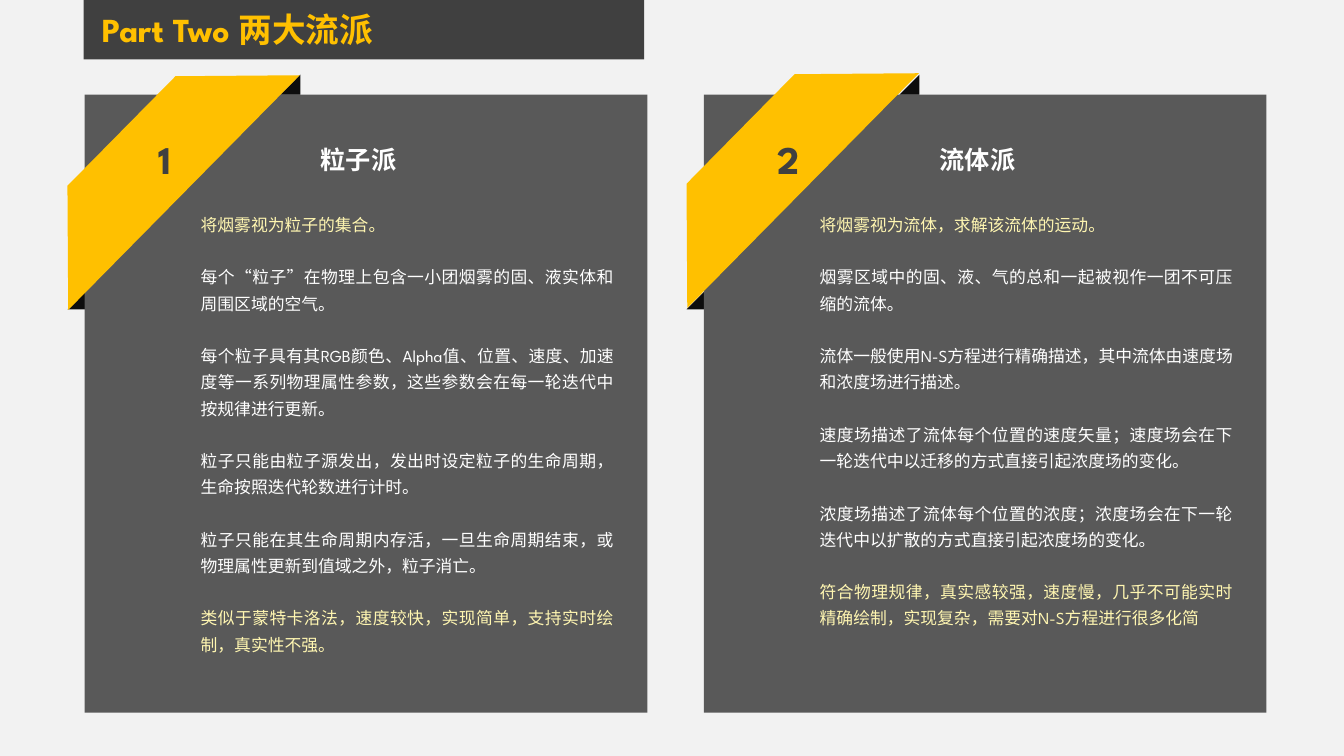
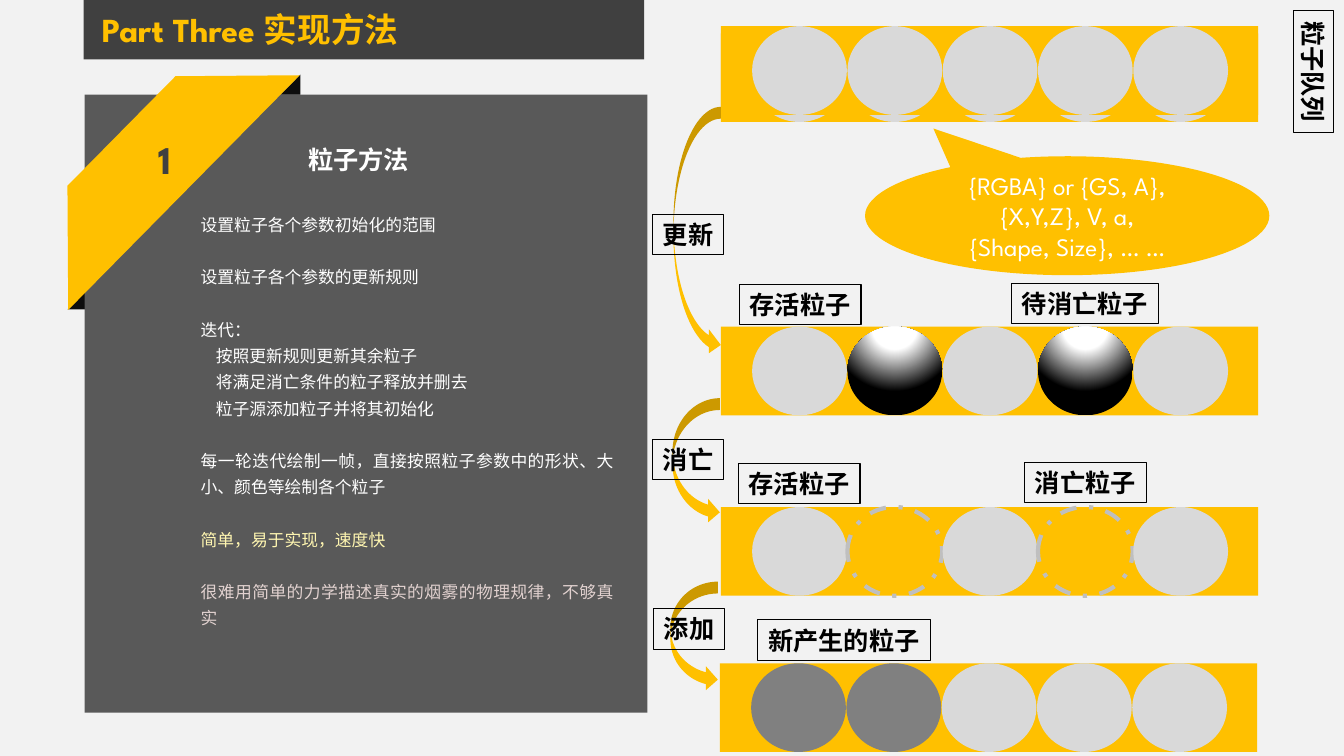
import pptx
import pptx.util
import pptx.dml.color
import pptx.enum.dml
import pptx.enum.shapes
import pptx.enum.text
import pptx.oxml
import pptx.oxml.ns

Inches, Pt = pptx.util.Inches, pptx.util.Pt
SHAPE = pptx.enum.shapes.MSO_SHAPE
ALIGN = pptx.enum.text.PP_ALIGN
ANCHOR = pptx.enum.text.MSO_ANCHOR

FONT = "League Spartan"
COLORS = {
    "back": "F2F2F2", "band": "404040", "panel": "595959", "gold": "FFC000",
    "fold": "0D0D0D", "white": "FFFFFF", "black": "000000",
    "cream": "FFF6B1", "rose": "E1D1CF",
    "alive": "D9D9D9", "new": "808080", "dash": "BFBFBF",
}
PANEL_STEP = 6.14

# Body lines: (text, colour, indented)
PARTICLE_SCHOOL = {"number": "1", "heading": "粒子派", "ribbon_top": 1.17, "lines": [
    ("将烟雾视为粒子的集合。", "cream", False),
    ("每个“粒子”在物理上包含一小团烟雾的固、液实体和周围区域的空气。", "white", False),
    ("每个粒子具有其RGB颜色、Alpha值、位置、速度、加速度等一系列物理属性参数，"
     "这些参数会在每一轮迭代中按规律进行更新。", "white", False),
    ("粒子只能由粒子源发出，发出时设定粒子的生命周期，生命按照迭代轮数进行计时。", "white", False),
    ("粒子只能在其生命周期内存活，一旦生命周期结束，或物理属性更新到值域之外，粒子消亡。",
     "white", False),
    ("类似于蒙特卡洛法，速度较快，实现简单，支持实时绘制，真实性不强。", "cream", False),
]}
FLUID_SCHOOL = {"number": "2", "heading": "流体派", "ribbon_top": 1.15, "lines": [
    ("将烟雾视为流体，求解该流体的运动。", "cream", False),
    ("烟雾区域中的固、液、气的总和一起被视作一团不可压缩的流体。", "white", False),
    ("流体一般使用N-S方程进行精确描述，其中流体由速度场和浓度场进行描述。", "white", False),
    ("速度场描述了流体每个位置的速度矢量；速度场会在下一轮迭代中以迁移的方式直接引起浓度场的变化。",
     "white", False),
    ("浓度场描述了流体每个位置的浓度；浓度场会在下一轮迭代中以扩散的方式直接引起浓度场的变化。",
     "white", False),
    ("符合物理规律，真实感较强，速度慢，几乎不可能实时精确绘制，实现复杂，"
     "需要对N-S方程进行很多化简", "cream", False),
]}
PARTICLE_METHOD = {"number": "1", "heading": "粒子方法", "ribbon_top": 1.17, "lines": [
    ("设置粒子各个参数初始化的范围", "white", False),
    ("设置粒子各个参数的更新规则", "white", False),
    ("迭代：", "white", False),
    ("按照更新规则更新其余粒子", "white", True),
    ("将满足消亡条件的粒子释放并删去", "white", True),
    ("粒子源添加粒子并将其初始化", "white", True),
    ("每一轮迭代绘制一帧，直接按照粒子参数中的形状、大小、颜色等绘制各个粒子", "white", False),
    ("简单，易于实现，速度快", "cream", False),
    ("很难用简单的力学描述真实的烟雾的物理规律，不够真实", "rose", False),
]}
SLIDES = [
    ("Part Two 两大流派", [PARTICLE_SCHOOL, FLUID_SCHOOL]),
    ("Part Three 实现方法", [PARTICLE_METHOD]),
]

# Particle queues: left, top, state of each particle
QUEUES = [
    (7.15, 0.33, ["alive"] * 5),
    (7.15, 0.26, ["alive"] * 5),
    (7.15, 3.24, ["alive", "dying", "alive", "dying", "alive"]),
    (7.15, 5.03, ["alive", "dead", "alive", "dead", "alive"]),
    (7.14, 6.58, ["new", "new", "alive", "alive", "alive"]),
]
ARROWS = [(6.68, 1.06, 2.48), (6.67, 3.95, 1.25), (6.65, 5.77, 1.09)]  # left, top, height
LABELS = [  # text, left, top, width, rotation
    ("粒子队列", 12.42, 0.51, 1.21, 90),
    ("存活粒子", 7.33, 2.82, 1.21, 0),
    ("待消亡粒子", 10.03, 2.81, 1.46, 0),
    ("存活粒子", 7.32, 4.6, 1.21, 0),
    ("消亡粒子", 10.16, 4.59, 1.21, 0),
    ("更新", 6.47, 2.13, 0.71, 0),
    ("消亡", 6.47, 4.36, 0.71, 0),
    ("添加", 6.48, 6.04, 0.71, 0),
    ("新产生的粒子", 7.51, 6.15, 1.72, 0),
]
CALLOUT = ["{RGBA} or {GS, A},", "{X,Y,Z}, V, a,", "{Shape, Size}, … …"]

DYING_FILL = (
    f'<a:gradFill {pptx.oxml.ns.nsdecls("a")} rotWithShape="1"><a:gsLst>'
    '<a:gs pos="0"><a:srgbClr val="FFFFFF"/></a:gs>'
    '<a:gs pos="35000"><a:srgbClr val="FFFFFF"/></a:gs>'
    '<a:gs pos="100000"><a:srgbClr val="000000"/></a:gs></a:gsLst>'
    '<a:path path="circle"><a:fillToRect l="50000" t="-80000" r="50000" b="180000"/></a:path>'
    '</a:gradFill>'
)


def rgb(name):
    return pptx.dml.color.RGBColor.from_string(COLORS[name])


def box(left, top, width, height):
    return [Inches(v) for v in (left, top, width, height)]


def place(sp, *bounds):
    sp.left, sp.top, sp.width, sp.height = box(*bounds)


def add_shape(shapes, kind, bounds, fill=None):
    sp = shapes.add_shape(kind, *box(*bounds))
    sp.shadow.inherit = False
    sp.line.fill.background()
    if fill:
        sp.fill.solid()
        sp.fill.fore_color.rgb = rgb(fill)
    else:
        sp.fill.background()
    return sp


def add_run(p, text, size, color, bold=False):
    r = p.add_run()
    r.text = text
    r.font.name, r.font.size, r.font.bold = FONT, Pt(size), bold
    r.font.color.rgb = rgb(color)


def add_text(s, text, bounds, size, color, align=ALIGN.CENTER):
    sp = s.shapes.add_textbox(*box(*bounds))
    sp.text_frame.word_wrap = False
    p = sp.text_frame.paragraphs[0]
    p.alignment = align
    add_run(p, text, size, color, True)
    return sp


def fill_title(sp, text):
    tf = sp.text_frame
    tf.vertical_anchor = ANCHOR.TOP
    tf.auto_size = pptx.enum.text.MSO_AUTO_SIZE.NONE
    p = tf.paragraphs[0]
    p.alignment, p.line_spacing = ALIGN.LEFT, 0.9
    add_run(p, text, 24, "gold", True)


def fill_body(sp, lines):
    tf = sp.text_frame
    tf.auto_size = pptx.enum.text.MSO_AUTO_SIZE.NONE
    for i, (text, color, indented) in enumerate(lines):
        p = tf.add_paragraph() if i else tf.paragraphs[0]
        p.alignment, p.line_spacing = ALIGN.JUSTIFY, 1.3
        p.space_before = Pt(18.8 if i and not indented else 0)
        pPr = p._p.get_or_add_pPr()
        pPr.set("marL", str(Inches(0.15 if indented else 0)))
        pPr.set("indent", "0")
        pPr.append(pptx.oxml.parse_xml(f'<a:buNone {pptx.oxml.ns.nsdecls("a")}/>'))
        add_run(p, text, 12, color)


def add_panel(s, body, dx, panel):
    """Grey panel with a gold ribbon folded round its top left corner."""
    add_shape(s.shapes, SHAPE.ISOSCELES_TRIANGLE, (0.67 + dx, 2.87, 0.2, 0.2),
              "fold").adjustments[0] = 1
    add_shape(s.shapes, SHAPE.RECTANGLE, (0.84 + dx, 0.94, 5.58, 6.13), "panel")
    add_shape(s.shapes, SHAPE.ISOSCELES_TRIANGLE, (2.78 + dx, 0.74, 0.2, 0.2),
              "fold").adjustments[0] = 1
    ribbon = add_shape(s.shapes, SHAPE.TRAPEZOID,
                       (-0.12 + dx, panel["ribbon_top"], 3.27, 0.87), "gold")
    ribbon.adjustments[0] = 1.002
    ribbon.rotation = 314.6
    add_text(s, panel["number"], (1.47 + dx, 1.29, 0.42, 0.57), 28, "band", ALIGN.LEFT)
    add_text(s, panel["heading"], (2.95 + dx, 1.38, 1.21, 0.4), 18, "white")
    place(body, 1.89 + dx, 2.02, 4.3, 4.8)
    fill_body(body, panel["lines"])
    s.shapes.element.append(body.element)  # in front of the panel


def add_queue(s, left, top, states):
    shapes = s.shapes.add_group_shape().shapes
    add_shape(shapes, SHAPE.RECTANGLE, (left, top, 5.33, 0.88), "gold")
    for i, state in enumerate(states):
        bounds = (left + 0.31 + 0.945 * i, top, 0.94, 0.88)
        sp = add_shape(shapes, SHAPE.OVAL, bounds, state if state in COLORS else None)
        if state == "dying":
            spPr = sp.element.spPr
            no_fill = spPr.find(pptx.oxml.ns.qn("a:noFill"))
            spPr.replace(no_fill, pptx.oxml.parse_xml(DYING_FILL))
        elif state == "dead":
            sp.line.color.rgb = rgb("dash")
            sp.line.width = Pt(3)
            sp.line.dash_style = pptx.enum.dml.MSO_LINE.DASH_DOT


def add_callout(s):
    sp = add_shape(s.shapes, SHAPE.OVAL_CALLOUT, (8.58, 1.55, 4.01, 1.18), "gold")
    sp.adjustments[0], sp.adjustments[1] = -0.331, -0.733
    tf = sp.text_frame
    tf.vertical_anchor = ANCHOR.MIDDLE
    for i, text in enumerate(CALLOUT):
        p = tf.add_paragraph() if i else tf.paragraphs[0]
        p.alignment = ALIGN.CENTER
        add_run(p, text, 18, "white")


def add_particle_flow(s):
    for queue in QUEUES:
        add_queue(s, *queue)
    add_callout(s)
    for left, top, height in ARROWS:
        arrow = add_shape(s.shapes, SHAPE.CURVED_LEFT_ARROW, (left, top, 0.47, height), "gold")
        arrow.element.spPr.xfrm.set("flipH", "1")
    for text, left, top, width, rotation in LABELS:
        sp = add_text(s, text, (left, top, width, 0.4), 18, "black")
        sp.rotation = rotation
        sp.line.color.rgb = rgb("black")
        sp.line.width = Pt(0.75)


def set_up_layout(prs):
    """Put the background, title band and title position where all slides share them."""
    fill = prs.slide_master.background.fill
    fill.solid()
    fill.fore_color.rgb = rgb("back")
    layout = prs.slide_layouts.get_by_name("Two Content")
    place(layout.placeholders[0], 0.91, 0.08, 5.4, 0.5)
    return layout


def main():
    prs = pptx.Presentation()
    prs.slide_width, prs.slide_height = Inches(13.33), Inches(7.5)
    layout = set_up_layout(prs)
    slides = []
    for title, panels in SLIDES:
        s = prs.slides.add_slide(layout)
        slides.append(s)
        heading, *bodies = list(s.placeholders)
        fill_title(heading, title)
        for i, body in enumerate(bodies):
            if i < len(panels):
                add_panel(s, body, PANEL_STEP * i, panels[i])
            else:
                body.element.getparent().remove(body.element)
    band = add_shape(slides[0].shapes, SHAPE.RECTANGLE, (0.83, 0, 5.56, 0.59), "band")
    layout.shapes.element.insert(2, band.element)
    add_particle_flow(slides[1])
    prs.save("out.pptx")


if __name__ == "__main__":
    main()
